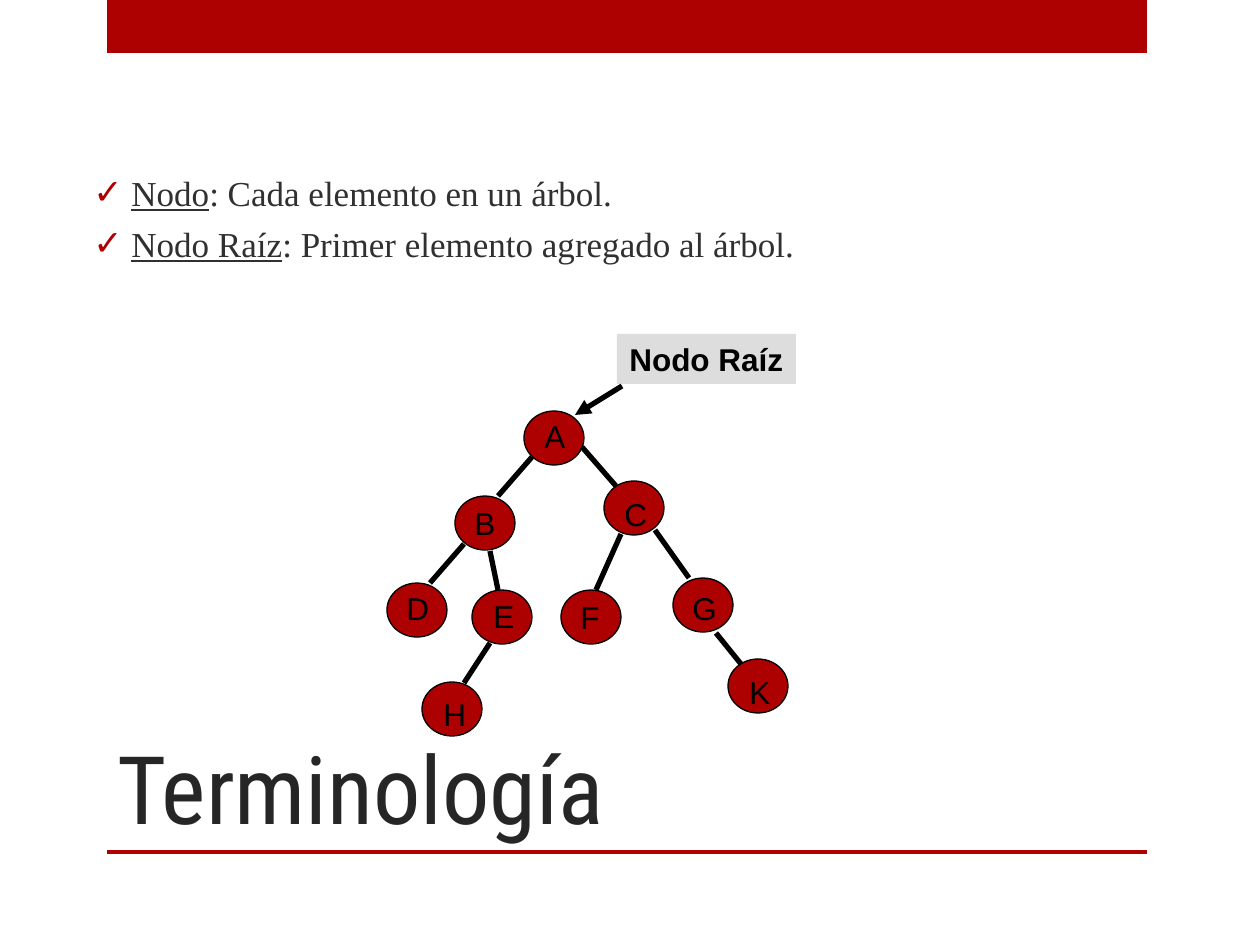
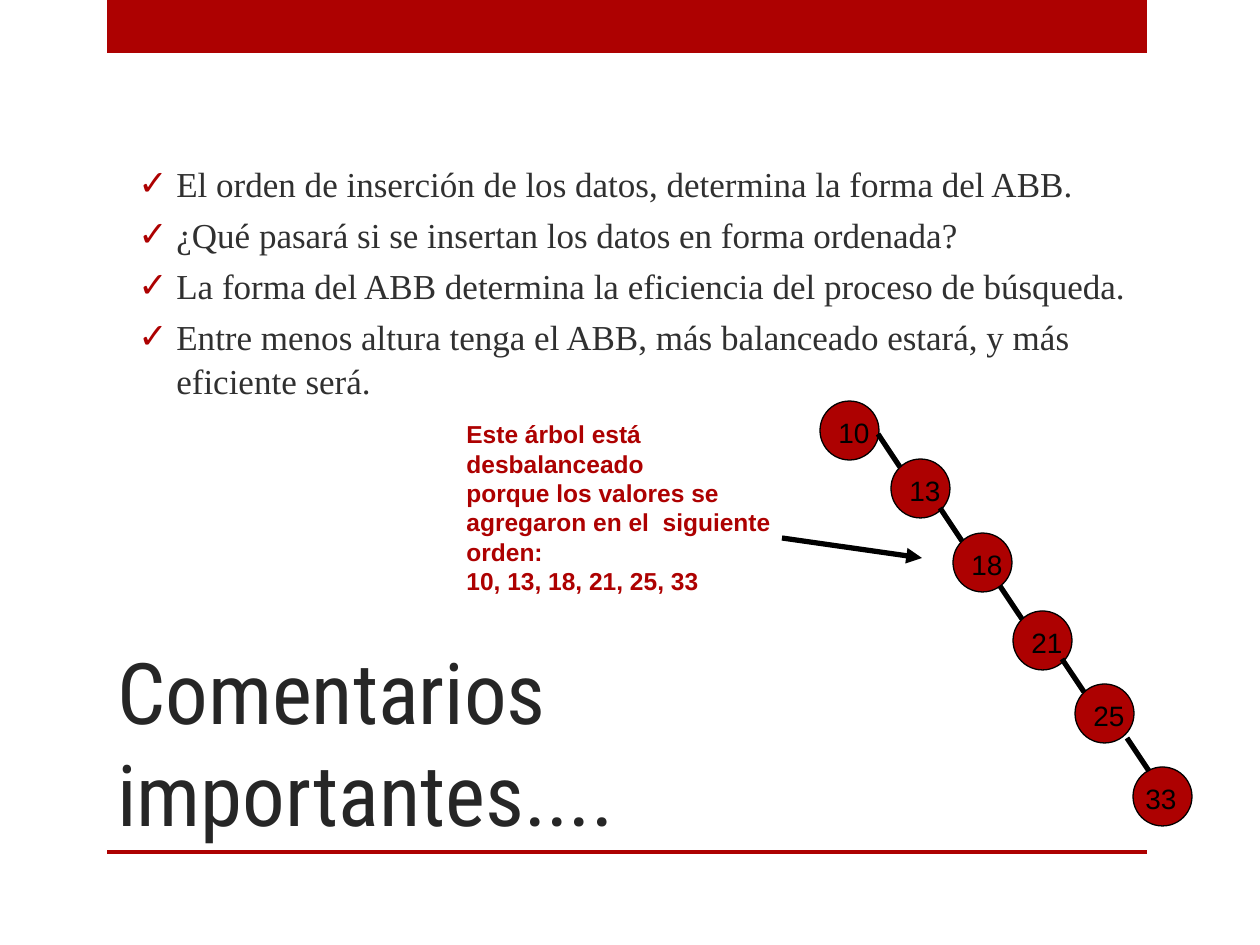
from lxml import etree
from pptx import Presentation
from pptx.dml.color import RGBColor
from pptx.enum import shapes, text
from pptx.oxml import ns
from pptx.util import Emu, Pt

RED, BLACK, GREY = "AD0101", "000000", "DDDDDD"
DARK, INK = "262626", "303030"
HEAD, BODY, SANS = "Roboto Condensed", "Times New Roman", "Arial"


def px(n):
    return Emu(round(n * 914400 / 126))


def hue(code):
    return RGBColor.from_string(code)


def add(node, tag, **attrs):
    return etree.SubElement(node, ns.qn(tag), **attrs)


class Deck:
    """Holds the shared style and the current slide of the deck."""

    def __init__(self):
        self.prs = Presentation()
        self.prs.slide_width, self.prs.slide_height = px(1260), px(945)

    def start(self, title, size):
        self.slide = self.prs.slides.add_slide(self.prs.slide_layouts[6])
        for top, high in ((0, 53), (850, 4)):
            self.shape("RECTANGLE", 107, top, 1040, high, RED)
        frame = self.box(105, 630, 935, 220, [title], size, HEAD, DARK)
        frame.vertical_anchor = text.MSO_ANCHOR.BOTTOM

    def shape(self, kind, x, y, w, h, fill, edge=None):
        form = self.slide.shapes.add_shape(
            shapes.MSO_SHAPE[kind], px(x), px(y), px(w), px(h))
        form.shadow.inherit = False
        form.fill.solid()
        form.fill.fore_color.rgb = hue(fill)
        if edge:
            form.line.color.rgb = hue(edge)
            form.line.width = Pt(0.75)
        else:
            form.line.fill.background()
        return form

    def node(self, x, y, w, h):
        return self.shape("OVAL", x, y, w, h, RED, BLACK)

    def style(self, frame, size, font, color, bold=False):
        for para in frame.paragraphs:
            for run in para.runs:
                run.font.size, run.font.name = Pt(size), font
                run.font.bold = bold
                run.font.color.rgb = hue(color)

    def box(self, x, y, w, h, lines, size, font, color, bold=False):
        form = self.slide.shapes.add_textbox(px(x), px(y), px(w), px(h))
        frame = form.text_frame
        frame.word_wrap = True
        frame.text = "\n".join(lines)
        self.style(frame, size, font, color, bold)
        return frame

    def tag(self, x, y, w, h, label, size):
        self.box(x, y, w, h, [label], size, SANS, BLACK)

    def list(self, x, y, w, h, items):
        frame = self.box(x, y, w, h, [rest for _, rest in items], 20, BODY, INK)
        frame.vertical_anchor = text.MSO_ANCHOR.MIDDLE
        for para, (term, rest) in zip(frame.paragraphs, items):
            if term:
                para.text = term
                para.add_run().text = rest
                para.runs[0].font.underline = True
            para.space_before, para.line_spacing = Pt(4), 1.05
            prop = para._p.get_or_add_pPr()
            prop.set("marL", str(px(38)))
            prop.set("indent", str(px(-38)))
            add(add(prop, "a:buClr"), "a:srgbClr", val=RED)
            add(prop, "a:buFont", typeface=SANS)
            add(prop, "a:buChar", char="✓")
        self.style(frame, 20, BODY, INK)

    def line(self, x1, y1, x2, y2, arrow=False):
        link = self.slide.shapes.add_connector(
            shapes.MSO_CONNECTOR.STRAIGHT, px(x1), px(y1), px(x2), px(y2))
        link.line.color.rgb = hue(BLACK)
        link.line.width = Pt(3)
        if arrow:
            add(link.line._get_or_add_ln(), "a:tailEnd", type="triangle")
        add(link._element.spPr, "a:effectLst")

    def callout(self, x, y, w, h, label):
        form = self.shape("RECTANGLE", x, y, w, h, GREY)
        frame = form.text_frame
        frame.word_wrap = False
        frame.text = label
        frame.paragraphs[0].alignment = text.PP_ALIGN.LEFT
        self.style(frame, 18, SANS, BLACK, True)


def terms(deck):
    deck.start("Terminología", 54)
    deck.list(81, 131, 1056, 171, [
        ("Nodo", ": Cada elemento en un árbol."),
        ("Nodo Raíz", ": Primer elemento agregado al árbol.")])
    tree = [("A", 524, 411, 8, 0), ("C", 604, 481, 8, 8),
            ("D", 387, 583, 7, 0), ("E", 472, 590, 9, 1),
            ("F", 561, 590, 7, 2), ("G", 673, 578, 7, 5),
            ("H", 422, 682, 9, 7), ("K", 728, 659, 9, 8)]
    for _, x, y, _, _ in tree:
        deck.node(x, y, 60, 54)
    frame = deck.node(455, 496, 60, 54).text_frame
    frame.word_wrap = False
    frame.text = "B"
    frame.paragraphs[0].alignment = text.PP_ALIGN.CENTER
    deck.style(frame, 18, SANS, BLACK)
    for ends in ((532, 457, 498, 496), (464, 544, 430, 583),
                 (582, 447, 616, 486), (655, 530, 689, 578),
                 (490, 551, 498, 590), (621, 534, 596, 590),
                 (490, 643, 464, 683), (716, 633, 741, 664)):
        deck.line(*ends)
    for name, x, y, dx, dy in tree:
        deck.tag(x + dx, y + dy, 34, 50, name, 18)
    deck.callout(617, 334, 179, 50, "Nodo Raíz")
    deck.line(622, 386, 575, 415, True)


def notes(deck):
    deck.start("Comentarios importantes....", 48.6)
    deck.list(126, 111, 1071, 340, [("", item) for item in (
        "El orden de inserción de los datos, determina la forma del ABB.",
        "¿Qué pasará si se insertan los datos en forma ordenada?",
        "La forma del ABB determina la eficiencia del proceso de búsqueda.",
        "Entre menos altura tenga el ABB, más balanceado estará, "
        "y más eficiente será.")])
    chain = [(10, 820, 401, 6, None), (13, 891, 459, 6, (-13, -25)),
             (18, 953, 533, 6, (-13, -25)), (21, 1013, 611, 6, (-13, -25)),
             (25, 1075, 684, 6, (-13, -25)), (33, 1133, 767, 0, (-6, -29))]
    for value, x, y, dx, off in chain:
        deck.node(x, y, 59, 59)
        if off:
            left, top = x + off[0], y + off[1]
            deck.line(left, top, left + 22, top + 33)
    for value, x, y, dx, _ in chain:
        deck.tag(x + dx, y + 8, 59, 47, str(value), 16)
    deck.box(454, 413, 360, 190, [
        "Este árbol está desbalanceado",
        "porque los valores se agregaron en el  siguiente orden:",
        "10, 13, 18, 21, 25, 33"], 14, SANS, RED, True)
    deck.line(782, 538, 922, 558, True)


deck = Deck()
terms(deck)
notes(deck)
deck.prs.save("out.pptx")
